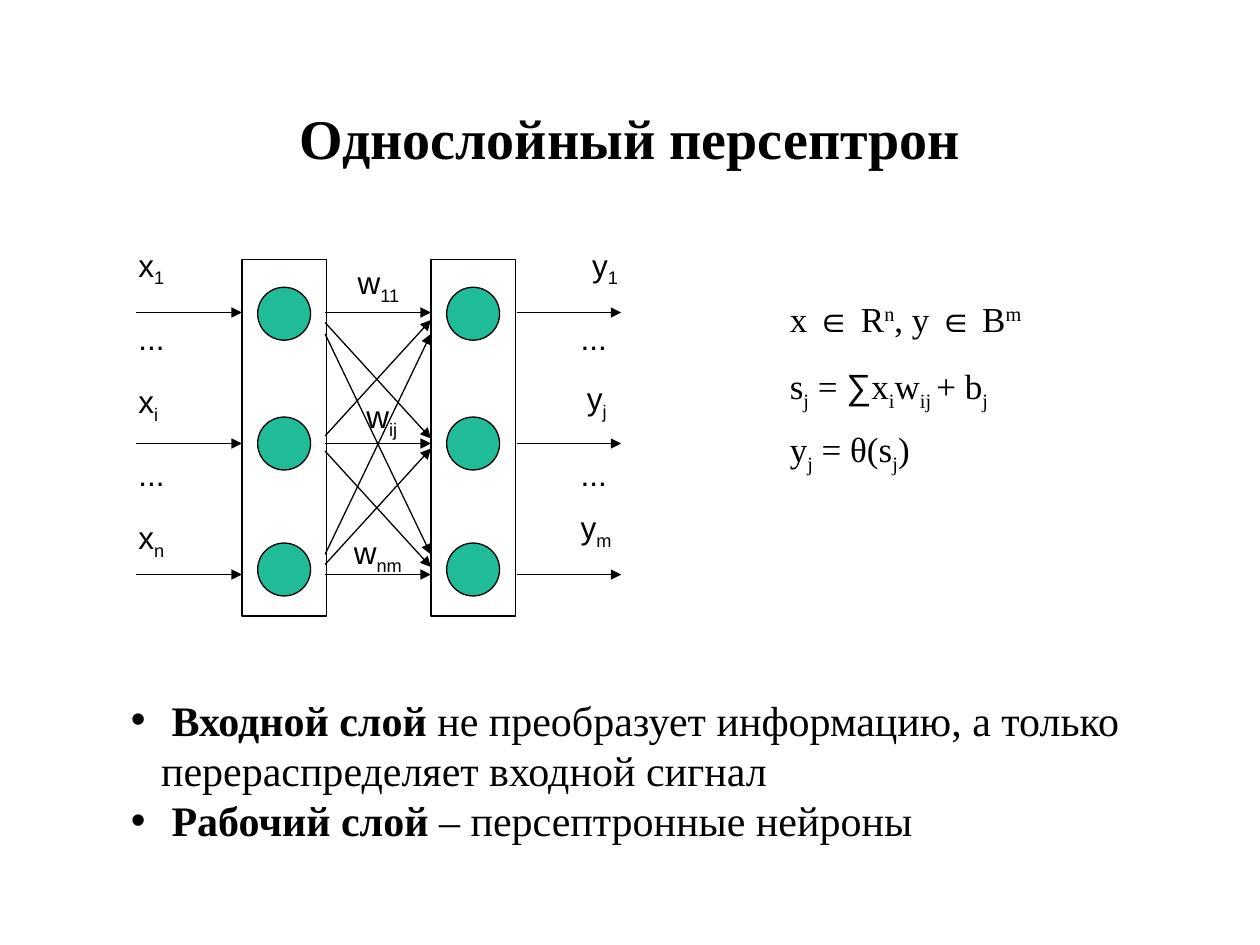
from dataclasses import dataclass

from lxml import etree
from pptx import Presentation
from pptx import util as u
from pptx.dml.color import RGBColor
from pptx.enum import shapes, text
from pptx.oxml import ns

BLACK = RGBColor(0x00, 0x00, 0x00)
GREEN = RGBColor(0x20, 0xBB, 0x97)
SERIF, SANS = "Times New Roman", "Arial"
SUB, SUPER = -25, 30

LAYER_TOP, LAYER_WIDTH, LAYER_HEIGHT = 2.06, 0.67, 2.83
INPUT_LEFT, WORK_LEFT = 1.92, 3.42
NEURON_SIZE = 0.42
NEURON_TOPS = (2.28, 3.31, 4.31)
ARROW_ROWS = (2.48, 3.52, 4.56)
ARROW_SPANS = ((1.08, 1.92), (2.58, 3.42), (4.1, 4.93))
CROSSING_ROWS = ((2.56, 3.48), (3.58, 4.5), (3.46, 2.54),
                 (4.48, 3.56), (2.65, 4.4), (4.4, 2.65))
LABEL_SIZE, BODY_SIZE = 18, 24


@dataclass
class Piece:
    text: str
    baseline: int = 0
    font: str = SERIF
    bold: bool = False


@dataclass
class Label:
    left: float
    top: float
    base: str
    index: str = ""
    width: float = 0.58


LABELS = (
    Label(1, 1.9, "x", "1"), Label(1, 2.98, "x", "i"), Label(1, 4.06, "x", "n"),
    Label(4.6, 1.9, "y", "1"), Label(4.56, 2.96, "y", "j"), Label(4.51, 3.98, "y", "m"),
    Label(2.74, 2.04, "w", "11"), Label(2.81, 3.1, "w", "ij"),
    Label(2.71, 4.18, "w", "nm", width=0.63),
    *(Label(left, top, "...", width=0.67) for left in (1, 4.51) for top in (2.48, 3.56)),
)

FORMULAS = (
    (Piece("x "), Piece("∈ ", font=SANS), Piece("R"), Piece("n", SUPER),
     Piece(", y "), Piece("∈", font=SANS), Piece(" B"), Piece("m", SUPER)),
    (Piece("s"), Piece("j", SUB), Piece(" = "), Piece("∑", font=SANS), Piece("x"),
     Piece("i", SUB), Piece("w"), Piece("ij ", SUB), Piece("+ b"), Piece("j", SUB)),
    (Piece("y"), Piece("j", SUB), Piece(" = θ(s"), Piece("j", SUB), Piece(")")),
)
FORMULA_GAPS = (12, 6, 0)

NOTES = (
    (Piece(" Входной слой ", bold=True),
     Piece("не преобразует информацию, а только перераспределяет входной сигнал")),
    (Piece(" Рабочий слой ", bold=True), Piece("– персептронные нейроны")),
)


def add_pieces(paragraph, pieces, size: float) -> None:
    for piece in pieces:
        run = paragraph.add_run()
        run.text = piece.text
        run.font.name = piece.font
        run.font.size = u.Pt(size)
        run.font.bold = piece.bold
        run.font.color.rgb = BLACK
        if piece.baseline:
            run.font._element.set("baseline", str(piece.baseline * 1000))


def add_text(slide, left: float, top: float, width: float, height: float,
             lines, size: float):
    """Add a wrapped text box with one paragraph per line and return its paragraphs."""
    box = slide.shapes.add_textbox(*map(u.Inches, (left, top, width, height)))
    frame = box.text_frame
    frame.word_wrap = True
    for number, pieces in enumerate(lines):
        paragraph = frame.add_paragraph() if number else frame.paragraphs[0]
        add_pieces(paragraph, pieces, size)
    return frame.paragraphs


def add_bullet(paragraph) -> None:
    properties = paragraph._p.get_or_add_pPr()
    indent = u.Inches(0.24)
    properties.set("marL", str(indent))
    properties.set("indent", str(-indent))
    color = etree.SubElement(properties, ns.qn("a:buClr"))
    etree.SubElement(color, ns.qn("a:srgbClr"), val=str(BLACK))
    etree.SubElement(properties, ns.qn("a:buFont"), typeface=SANS)
    etree.SubElement(properties, ns.qn("a:buChar"), char="•")


def add_outlined(slide, kind, left: float, top: float, width: float, height: float,
                 fill=None) -> None:
    shape = slide.shapes.add_shape(kind, *map(u.Inches, (left, top, width, height)))
    shape.shadow.inherit = False
    if fill is None:
        shape.fill.background()
    else:
        shape.fill.solid()
        shape.fill.fore_color.rgb = fill
    shape.line.color.rgb = BLACK
    shape.line.width = u.Pt(0.75)


def add_arrow(slide, start_x: float, start_y: float, end_x: float, end_y: float) -> None:
    arrow = slide.shapes.add_connector(
        shapes.MSO_CONNECTOR.STRAIGHT, *map(u.Inches, (start_x, start_y, end_x, end_y)))
    arrow.line.color.rgb = BLACK
    arrow.line.width = u.Pt(0.75)
    etree.SubElement(arrow.line._get_or_add_ln(), ns.qn("a:tailEnd"), type="triangle")
    etree.SubElement(arrow._element.spPr, ns.qn("a:effectLst"))


def add_layer(slide, left: float) -> None:
    add_outlined(slide, shapes.MSO_SHAPE.RECTANGLE, left, LAYER_TOP,
                 LAYER_WIDTH, LAYER_HEIGHT)
    neuron_left = left + (LAYER_WIDTH - NEURON_SIZE) / 2
    for top in NEURON_TOPS:
        add_outlined(slide, shapes.MSO_SHAPE.OVAL, neuron_left, top,
                     NEURON_SIZE, NEURON_SIZE, GREEN)


def add_title(slide) -> None:
    title = slide.shapes.title
    title.left, title.top = u.Inches(0.75), u.Inches(0.67)
    title.width, title.height = u.Inches(8.5), u.Inches(0.83)
    title.text_frame.vertical_anchor = text.MSO_ANCHOR.MIDDLE
    paragraph = title.text_frame.paragraphs[0]
    paragraph.alignment = text.PP_ALIGN.CENTER
    add_pieces(paragraph, [Piece("Однослойный персептрон", bold=True)], 32)


def add_network(slide) -> None:
    for left in (INPUT_LEFT, WORK_LEFT):
        add_layer(slide, left)
    for start, end in ARROW_SPANS:
        for row in ARROW_ROWS:
            add_arrow(slide, start, row, end, row)
    between_start, between_end = ARROW_SPANS[1]
    for start_row, end_row in CROSSING_ROWS:
        add_arrow(slide, between_start, start_row, between_end, end_row)
    for label in LABELS:
        pieces = [Piece(label.base, font=SANS)]
        if label.index:
            pieces.append(Piece(label.index, SUB, SANS))
        height = 0.44 if label.index else 0.4
        add_text(slide, label.left, label.top, label.width, height, [pieces], LABEL_SIZE)


def main() -> None:
    presentation = Presentation()
    presentation.slide_width, presentation.slide_height = u.Inches(10), u.Inches(7.5)
    slide = presentation.slides.add_slide(presentation.slide_layouts[5])
    add_title(slide)
    add_network(slide)

    formulas = add_text(slide, 6.17, 2.31, 2.33, 1.51, FORMULAS, 20)
    for number, (paragraph, gap) in enumerate(zip(formulas, FORMULA_GAPS)):
        paragraph.space_before = u.Pt(2.5 if number else 0)
        paragraph.space_after = u.Pt(gap)

    for paragraph in add_text(slide, 0.94, 5.46, 8.17, 1.3, NOTES, BODY_SIZE):
        add_bullet(paragraph)
    presentation.save("out.pptx")


if __name__ == "__main__":
    main()
